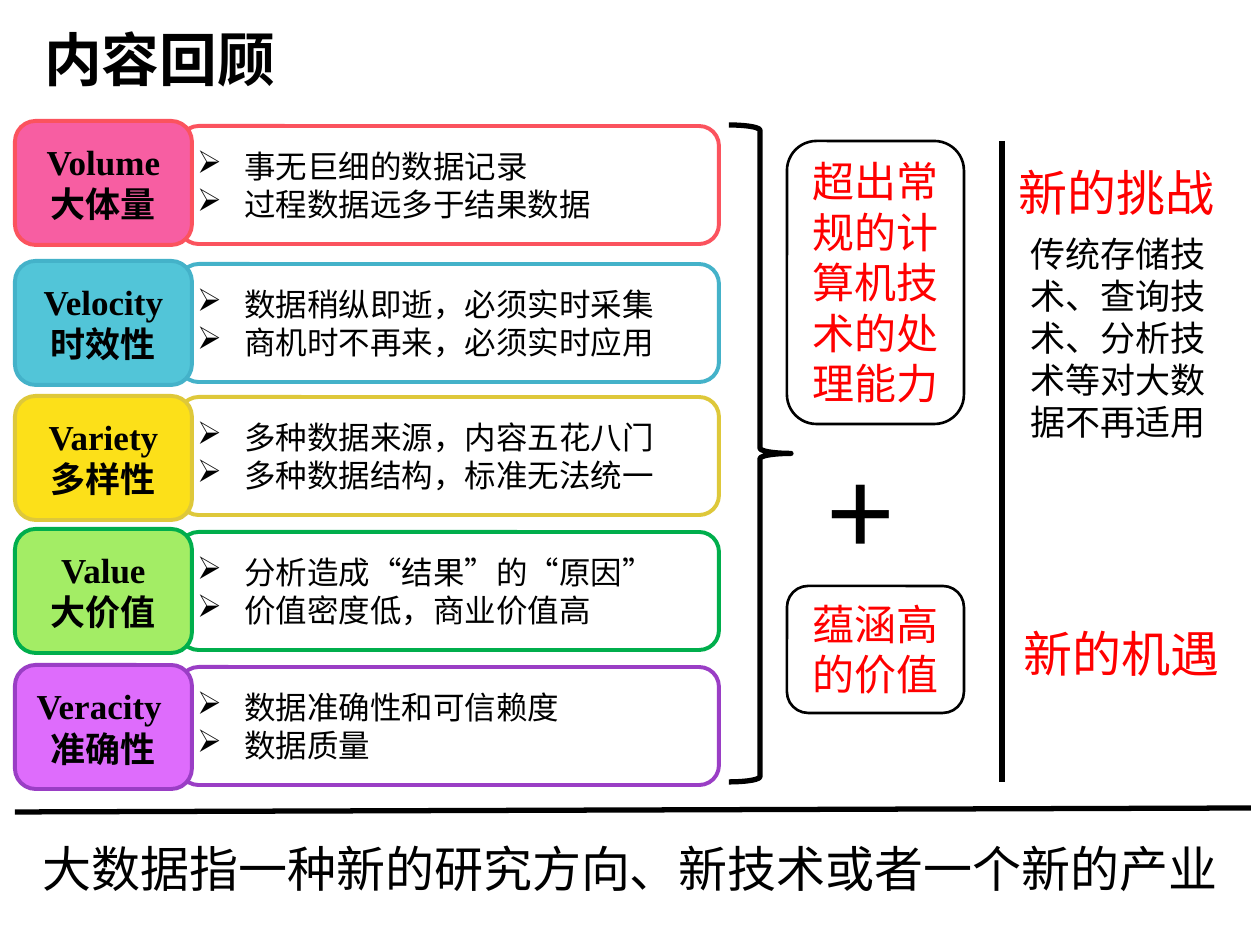
from lxml import etree
from pptx import Presentation
from pptx import util as u
from pptx.dml.color import RGBColor
from pptx.enum import shapes, text
from pptx.oxml.ns import qn

EMU_PER_PX = 914400 / 126
LATIN, HAN = "Times New Roman", "Noto Sans CJK SC"
COLORS = {"black": "000000", "white": "FFFFFF", "red": "FF0000"}

# name lines, points, fill, outline, card top, panel top
FEATURES = [
    (["Volume", "大体量"], ["事无巨细的数据记录", "过程数据远多于结果数据"],
     "F75EA2", "FB535E", 121, 126),
    (["Velocity", "时效性"], ["数据稍纵即逝，必须实时采集", "商机时不再来，必须实时应用"],
     "52C5D8", "44B2C9", 261, 264),
    (["Variety", "多样性"], ["多种数据来源，内容五花八门", "多种数据结构，标准无法统一"],
     "FCE019", "DEC83A", 396, 397),
    (["Value", "大价值"], ["分析造成“结果”的“原因”", "价值密度低，商业价值高"],
     "A3ED65", "00AE4C", 529, 532),
    (["Veracity准确性"], ["数据准确性和可信赖度", "数据质量"],
     "DE6CFC", "9A3EC5", 665, 667),
]


def px(value):
    return u.Emu(round(value * EMU_PER_PX))


def rgb(color):
    return RGBColor.from_string(COLORS.get(color, color))


class Board:
    """Holds the current slide and draws its elements in one style."""

    def __init__(self, slide):
        self.slide = slide

    def set_text(self, shape, lines, size, font, color="black", bold=False,
                 align=text.PP_ALIGN.CENTER, bullet=None, grow=False, wrap=True):
        frame = shape.text_frame
        frame.word_wrap = wrap
        frame.auto_size = (text.MSO_AUTO_SIZE.SHAPE_TO_FIT_TEXT if grow
                           else text.MSO_AUTO_SIZE.NONE)
        for index, line in enumerate(lines):
            para = frame.add_paragraph() if index else frame.paragraphs[0]
            para.text = line
            para.alignment = align
            if bullet:
                self.add_bullet(para, bullet)
            para.font.size = u.Pt(size)
            para.font.name = font
            para.font.bold = bold
            para.font.color.rgb = rgb(color)

    def add_bullet(self, para, mark):
        props = para._p.get_or_add_pPr()
        props.set("marL", str(px(47)))
        props.set("indent", str(-px(47)))
        etree.SubElement(props, qn("a:buChar")).set("char", mark)

    def title(self, words, *area):
        title = self.slide.shapes.title
        title.left, title.top, title.width, title.height = map(px, area)
        frame = title.text_frame
        frame.margin_left = frame.margin_right = px(9)
        frame.margin_top = frame.margin_bottom = px(5)
        frame.vertical_anchor = text.MSO_ANCHOR.MIDDLE
        self.set_text(title, [words], 33, LATIN, bold=True,
                      align=text.PP_ALIGN.LEFT)
        frame.paragraphs[0].line_spacing = 0.9

    def shape(self, kind, area, line, width, fill=None):
        shape = self.slide.shapes.add_shape(kind, *map(px, area))
        shape.shadow.inherit = False
        if fill:
            shape.fill.solid()
            shape.fill.fore_color.rgb = rgb(fill)
        else:
            shape.fill.background()
        shape.line.color.rgb = rgb(line)
        shape.line.width = u.Pt(width)
        return shape

    def rounded(self, area, line, width, lines, size, font, fill=None, **style):
        box = self.shape(shapes.MSO_SHAPE.ROUNDED_RECTANGLE, area, line, width, fill)
        box.text_frame.vertical_anchor = (text.MSO_ANCHOR.MIDDLE if fill
                                          else text.MSO_ANCHOR.TOP)
        self.set_text(box, lines, size, font, **style)

    def label(self, words, area, size, font=HAN, **style):
        box = self.slide.shapes.add_textbox(*map(px, area))
        self.set_text(box, [words], size, font, grow=True, **style)

    def rule(self, *ends):
        rule = self.slide.shapes.add_connector(
            shapes.MSO_CONNECTOR.STRAIGHT, *map(px, ends))
        rule.line.color.rgb = rgb("black")
        rule.line.width = u.Pt(3)
        etree.SubElement(rule._element.spPr, qn("a:effectLst"))


def main():
    deck = Presentation()
    deck.slide_width, deck.slide_height = px(1260), px(945)
    board = Board(deck.slides.add_slide(deck.slide_layouts[5]))
    board.title("内容回顾", 35, -6, 1086, 137)

    for name, points, fill, line, card_top, panel_top in FEATURES:
        board.rounded((179, panel_top, 540, 118), line, 2.25, points, 18, LATIN,
                      fill="white", align=text.PP_ALIGN.LEFT, bullet="➢")
        board.rounded((15, card_top, 177, 124), line, 2.25, name, 20, LATIN,
                      fill=fill, bold=True)

    board.shape(shapes.MSO_SHAPE.RIGHT_BRACE, (729, 125, 62, 657), "black", 3)
    for words, top, height in (("超出常规的计算机技术的处理能力", 141, 283),
                               ("蕴涵高的价值", 586, 127)):
        board.rounded((787, top, 177, height), "black", 1.5, [words], 24, HAN,
                      color="red", grow=True)
    board.label("+", (816, 422, 89, 165), 72, "Calibri", wrap=False)

    board.label("新的挑战", (1005, 156, 223, 72), 28, color="red", wrap=False)
    board.label("传统存储技术、查询技术、分析技术等对大数据不再适用",
                (1018, 226, 202, 224), 20, align=text.PP_ALIGN.LEFT)
    board.label("新的机遇", (1010, 617, 223, 72), 28, color="red", wrap=False)
    board.label("大数据指一种新的研究方向、新技术或者一个新的产业",
                (0, 832, 1260, 72), 28)

    board.rule(15, 812, 1251, 808)
    board.rule(1002, 141, 1002, 782)
    deck.save("out.pptx")


if __name__ == "__main__":
    main()
